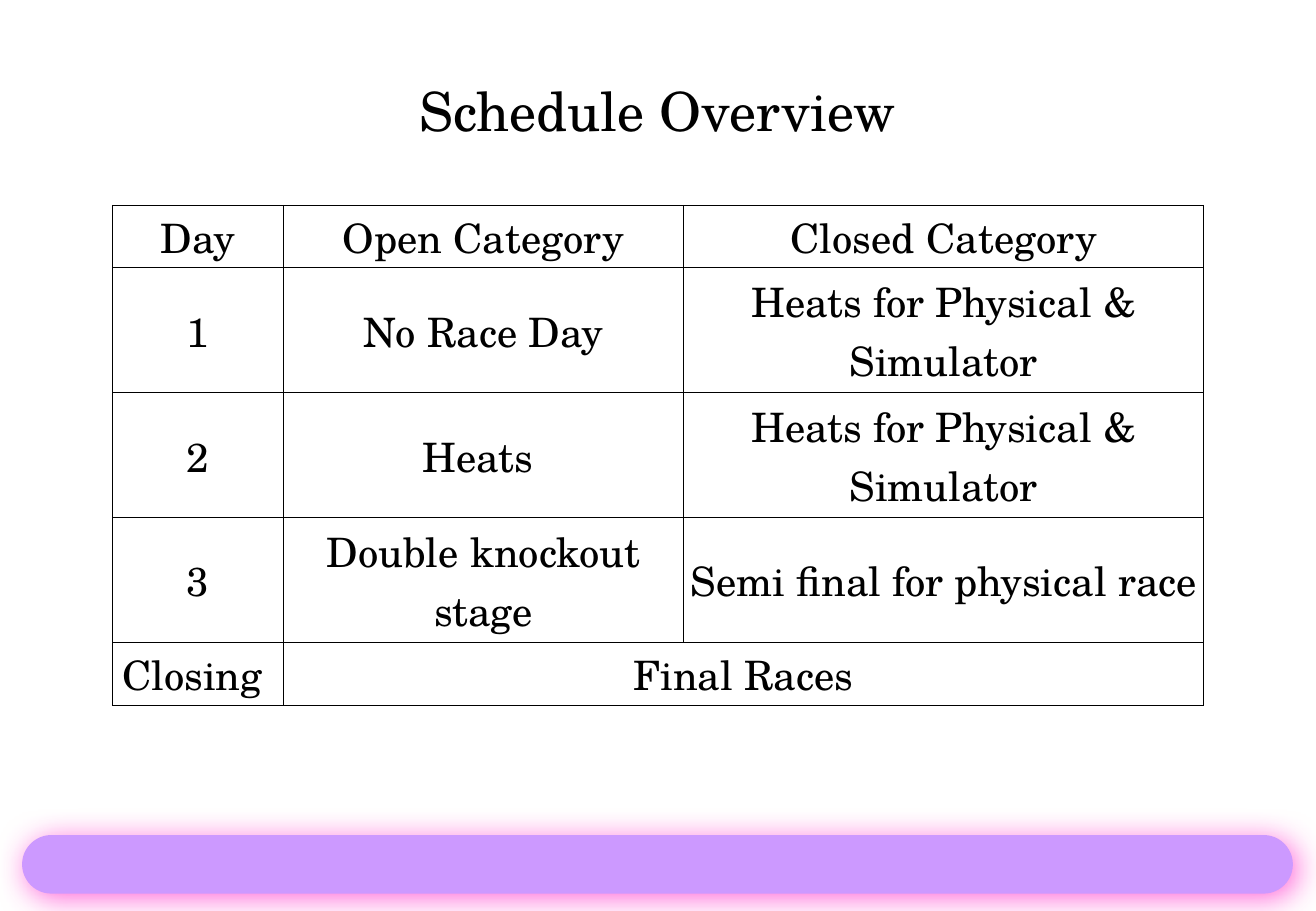
from lxml import etree
from pptx import Presentation
from pptx.dml.color import RGBColor
from pptx.enum.shapes import MSO_SHAPE
from pptx.enum.text import MSO_ANCHOR, MSO_AUTO_SIZE, PP_ALIGN
from pptx.oxml import parse_xml
from pptx.oxml.ns import nsdecls, qn
from pptx.util import Cm, Pt

TITLE = "Schedule Overview"
SCHEDULE = [
    ("Day", "Open Category", "Closed Category"),
    ("1", "No Race Day", "Heats for Physical & Simulator"),
    ("2", "Heats ", "Heats for Physical & Simulator"),
    ("3", "Double knockout stage", "Semi final for physical race "),
    ("Closing ", "Final Races", ""),
]
COLUMN_WIDTHS = [3.56, 8.38, 10.87]
ROW_HEIGHTS = [1.31, 2.61, 2.61, 2.61, 1.31]

FONT = "TeX Gyre Schola"
BLACK = RGBColor(0x00, 0x00, 0x00)
LILAC = RGBColor(0xCC, 0x99, 0xFF)
PINK = RGBColor(0xFF, 0x33, 0xCC)
CENTER = PP_ALIGN.CENTER
TOP, MIDDLE = MSO_ANCHOR.TOP, MSO_ANCHOR.MIDDLE
ROUNDED = MSO_SHAPE.ROUNDED_RECTANGLE
GROW = MSO_AUTO_SIZE.SHAPE_TO_FIT_TEXT


def write_centered(text_frame, text, size):
    text_frame.text = text
    paragraph = text_frame.paragraphs[0]
    paragraph.alignment = CENTER
    paragraph.font.name = FONT
    paragraph.font.size = Pt(size)
    paragraph.font.bold = False
    paragraph.font.color.rgb = BLACK


def add_glow_shadow(shape):
    """Give the shape a soft pink shadow towards the lower right."""
    shape.shadow.inherit = False
    effects = shape._element.spPr.find(qn("a:effectLst"))
    effects.append(parse_xml(
        f'<a:outerShdw {nsdecls("a")} blurRad="{Pt(18)}" dist="{Pt(3)}" '
        f'dir="{45 * 60000}" algn="ctr" rotWithShape="0">'
        f'<a:srgbClr val="{PINK}"><a:alpha val="74000"/></a:srgbClr>'
        '</a:outerShdw>'))


def add_borders(cell):
    properties = cell._tc.get_or_add_tcPr()
    for position, side in enumerate(("lnL", "lnR", "lnT", "lnB")):
        border = etree.Element(qn(f"a:{side}"), w=str(Pt(0.5)))
        fill = etree.SubElement(border, qn("a:solidFill"))
        etree.SubElement(fill, qn("a:srgbClr"), val=str(BLACK))
        properties.insert(position, border)


def add_bar(slide):
    bar = slide.shapes.add_shape(ROUNDED, Cm(0.48), Cm(17.48), Cm(26.54), Cm(1.19))
    bar.adjustments[0] = 0.5
    bar.fill.solid()
    bar.fill.fore_color.rgb = LILAC
    bar.line.color.rgb = LILAC
    bar.line.width = Pt(1)
    add_glow_shadow(bar)


def add_title(slide):
    title = slide.shapes.title
    title.left, title.top = Cm(1.75), Cm(1.5)
    title.width, title.height = Cm(24), Cm(1.63)
    title.text_frame.word_wrap = True
    title.text_frame.auto_size = GROW
    title.text_frame.vertical_anchor = TOP
    write_centered(title.text_frame, TITLE, 32)


def add_schedule(slide):
    table = slide.shapes.add_table(
        len(SCHEDULE), len(COLUMN_WIDTHS), Cm(2.36), Cm(4.29),
        Cm(sum(COLUMN_WIDTHS)), Cm(sum(ROW_HEIGHTS))).table
    table.first_row = table.horz_banding = False
    for column, width in zip(table.columns, COLUMN_WIDTHS):
        column.width = Cm(width)
    for row, height, entries in zip(table.rows, ROW_HEIGHTS, SCHEDULE):
        row.height = Cm(height)
        for cell, entry in zip(row.cells, entries):
            cell.margin_left = cell.margin_right = cell.margin_top = Cm(0.03)
            cell.margin_bottom = 0
            cell.vertical_anchor = MIDDLE
            cell.fill.background()
            add_borders(cell)
            write_centered(cell.text_frame, entry, 24)
    last = len(SCHEDULE) - 1
    table.cell(last, 1).merge(table.cell(last, 2))


def main():
    presentation = Presentation()
    presentation.slide_width, presentation.slide_height = Cm(27.52), Cm(19.05)
    slide = presentation.slides.add_slide(presentation.slide_layouts[5])
    add_bar(slide)
    add_title(slide)
    add_schedule(slide)
    presentation.save("out.pptx")


if __name__ == "__main__":
    main()
